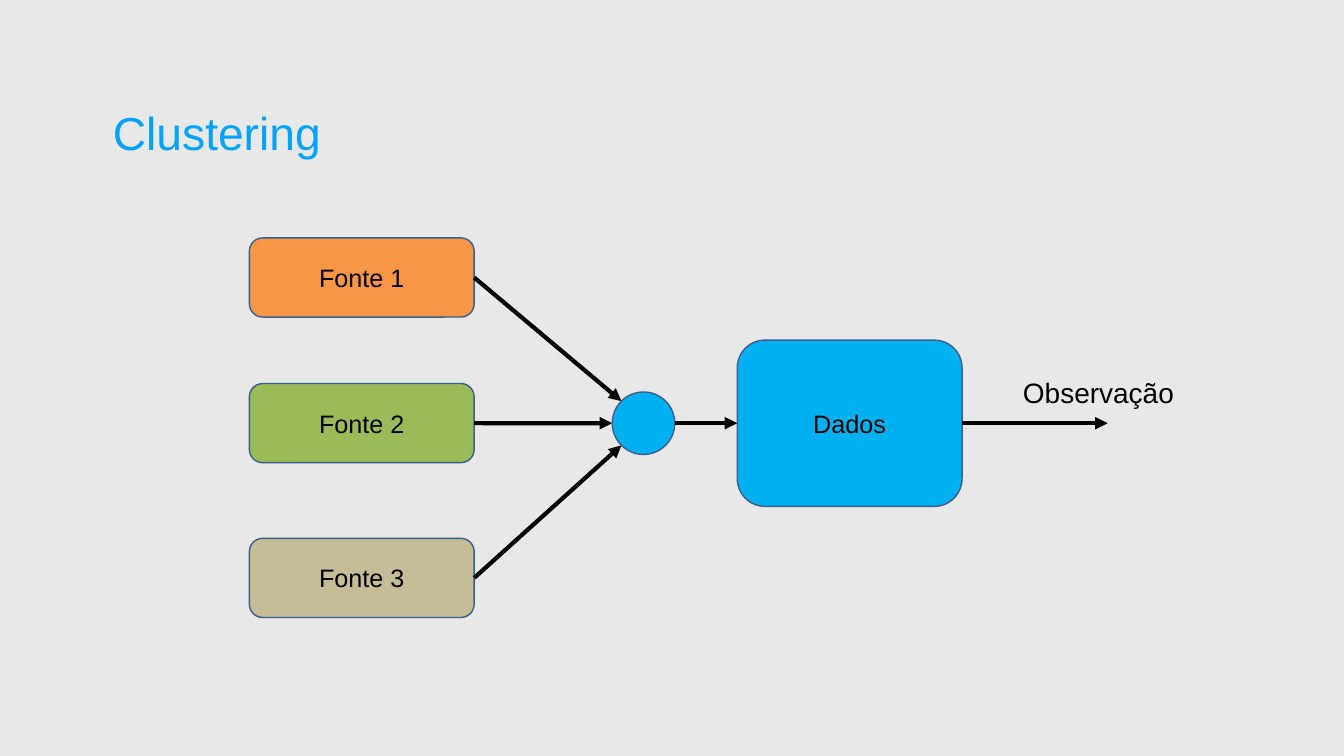
from math import sqrt

from lxml import etree
from pptx import Presentation
from pptx.dml.color import RGBColor
from pptx.enum.shapes import MSO_CONNECTOR, MSO_SHAPE
from pptx.enum.text import MSO_ANCHOR, PP_ALIGN
from pptx.oxml.ns import qn
from pptx.util import Cm, Pt

ROUNDED, OVAL = MSO_SHAPE.ROUNDED_RECTANGLE, MSO_SHAPE.OVAL
STRAIGHT = MSO_CONNECTOR.STRAIGHT
TOP, MIDDLE = MSO_ANCHOR.TOP, MSO_ANCHOR.MIDDLE
LEFT, CENTER = PP_ALIGN.LEFT, PP_ALIGN.CENTER

GREY = RGBColor(0xE8, 0xE8, 0xE8)
TITLE_BLUE = RGBColor(0x00, 0xA2, 0xFF)
BLUE = RGBColor(0x00, 0xB0, 0xF0)
OUTLINE = RGBColor(0x3A, 0x5F, 0x8B)
ORANGE = RGBColor(0xF7, 0x96, 0x46)
GREEN = RGBColor(0x9B, 0xBB, 0x59)
SAND = RGBColor(0xC4, 0xBD, 0x97)
BLACK = RGBColor(0, 0, 0)

# Content; all lengths are centimetres
TITLE = "Clustering"
SOURCES = [("Fonte 1", 11.99, ORANGE), ("Fonte 2", 19.33, GREEN), ("Fonte 3", 27.13, SAND)]
DATA = "Dados"
OUTPUT = "Observação"

BOX_WIDTH = 11.33
SOURCE_LEFT, SOURCE_HEIGHT = 12.57, 3.99
SOURCE_RIGHT = SOURCE_LEFT + BOX_WIDTH
AXIS = 21.33
NODE_LEFT, NODE_SIZE = 30.86, 3.15
DATA_LEFT, DATA_HEIGHT = 37.16, 8.38
OUTPUT_END = 55.83


def write(shape, text, size, color=BLACK, align=CENTER, anchor=MIDDLE, inset=(0.25, 0.13)):
    frame = shape.text_frame
    across, down = map(Cm, inset)
    settings = {"word_wrap": True, "vertical_anchor": anchor, "margin_left": across,
                "margin_right": across, "margin_top": down, "margin_bottom": down}
    for name, value in settings.items():
        setattr(frame, name, value)
    frame.text = text
    paragraph = frame.paragraphs[0]
    paragraph.alignment = align
    for name, value in {"name": "Arial", "size": Pt(size)}.items():
        setattr(paragraph.font, name, value)
    paragraph.font.color.rgb = color


def add_node(page, kind, left, width, height, fill, text="", middle=AXIS):
    """Add an outlined shape centred vertically on middle."""
    node = page.shapes.add_shape(kind, Cm(left), Cm(middle - height / 2), Cm(width), Cm(height))
    node.shadow.inherit = False
    node.fill.solid()
    node.fill.fore_color.rgb = fill
    node.line.color.rgb = OUTLINE
    node.line.width = Pt(2)
    if text:
        write(node, text, 36)


def add_arrow(page, start, end):
    arrow = page.shapes.add_connector(STRAIGHT, *map(Cm, start + end))
    arrow.line.color.rgb = BLACK
    arrow.line.width = Pt(6)
    etree.SubElement(arrow.line._get_or_add_ln(), qn("a:tailEnd"), type="triangle")
    etree.SubElement(arrow._element.spPr, qn("a:effectLst"))


def main():
    deck = Presentation()
    deck.slide_width, deck.slide_height = Cm(67.74), Cm(38.1)
    page = deck.slides.add_slide(deck.slide_layouts[5])
    page.background.fill.solid()
    page.background.fill.fore_color.rgb = GREY

    title = page.shapes.title
    title.left, title.top, title.width, title.height = map(Cm, (5.54, 5.11, 39.65, 3.07))
    write(title, TITLE, 66, TITLE_BLUE, LEFT, inset=(0.15, 0.15))

    radius = NODE_SIZE / 2
    diagonal = radius / sqrt(2)
    node_center = NODE_LEFT + radius
    entries = [(node_center - diagonal, AXIS - diagonal),
               (NODE_LEFT, AXIS),
               (node_center - diagonal, AXIS + diagonal)]
    for (name, top, color), entry in zip(SOURCES, entries):
        middle = top + SOURCE_HEIGHT / 2
        add_node(page, ROUNDED, SOURCE_LEFT, BOX_WIDTH, SOURCE_HEIGHT, color, name, middle)
        add_arrow(page, (SOURCE_RIGHT, middle), entry)

    add_node(page, OVAL, NODE_LEFT, NODE_SIZE, NODE_SIZE, BLUE)
    add_node(page, ROUNDED, DATA_LEFT, BOX_WIDTH, DATA_HEIGHT, BLUE, DATA)
    add_arrow(page, (NODE_LEFT + NODE_SIZE, AXIS), (DATA_LEFT, AXIS))
    add_arrow(page, (DATA_LEFT + BOX_WIDTH, AXIS), (OUTPUT_END, AXIS))

    label = page.shapes.add_textbox(Cm(51.31), Cm(18.8), Cm(9.07), Cm(1.93))
    write(label, OUTPUT, 40, align=LEFT, anchor=TOP)

    deck.save("out.pptx")


if __name__ == "__main__":
    main()
